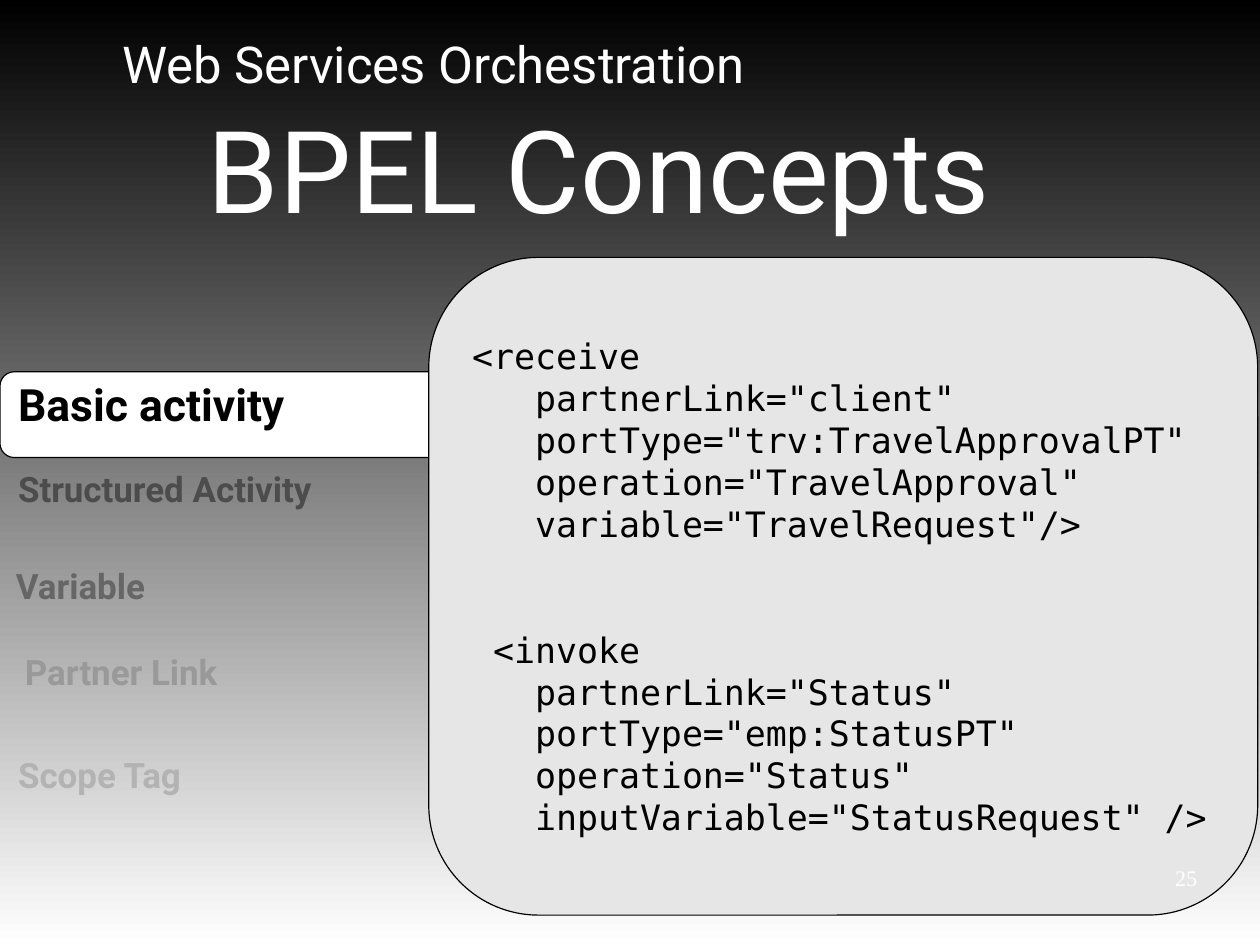
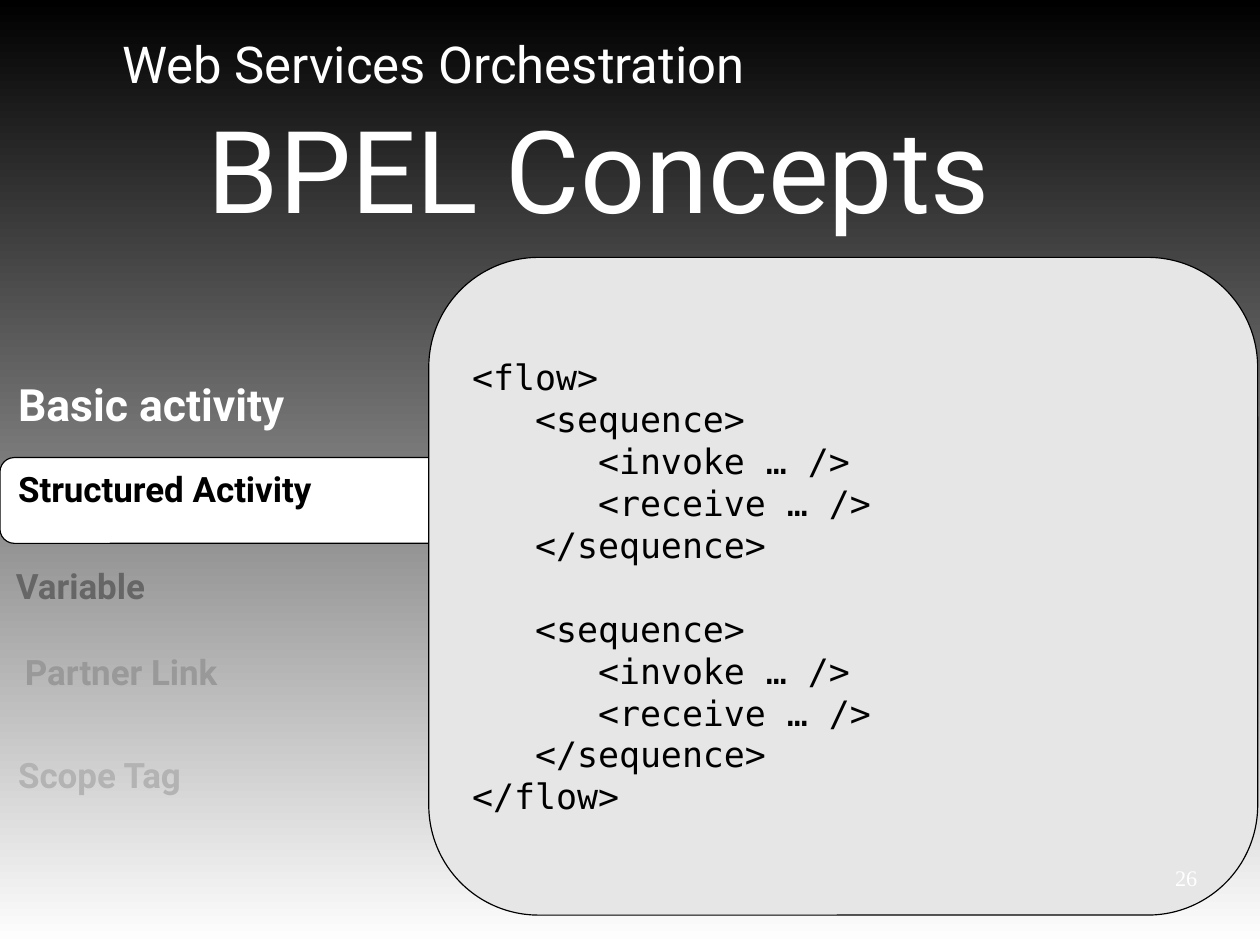
"""Build two slides on BPEL concepts, each with one highlighted topic and its code."""
from dataclasses import dataclass
from typing import Any

from pptx import Presentation
from pptx.dml.color import RGBColor
from pptx.enum.shapes import MSO_SHAPE
from pptx.enum.text import MSO_ANCHOR, PP_ALIGN
from pptx.util import Inches, Pt

ROUNDED = MSO_SHAPE.ROUNDED_RECTANGLE
TOP, MIDDLE = MSO_ANCHOR.TOP, MSO_ANCHOR.MIDDLE
LEFT, RIGHT = PP_ALIGN.LEFT, PP_ALIGN.RIGHT

BLACK, WHITE, PANEL_GREY = "000000", "FFFFFF", "E6E6E6"
SANS, MONO, SERIF = "Roboto", "DejaVu Sans Mono", "Times New Roman"
CODE_SIZE = 22
CODE_LINE = 26.4
CORNER = 0.167
TAB_HEIGHT = 0.75


@dataclass(frozen=True)
class Box:
    """Position and size in inches."""

    left: float
    top: float
    width: float
    height: float

    def lengths(self) -> list[int]:
        """Return the four values as lengths."""
        return [Inches(value) for value in (self.left, self.top, self.width, self.height)]


@dataclass(frozen=True)
class Label:
    """A single line of text with its place and style."""

    text: str
    box: Box
    size: float
    color: str = WHITE
    bold: bool = False
    font: str = SANS
    alignment: Any = LEFT


@dataclass(frozen=True)
class ConceptSlide:
    """What differs from one slide to the next."""

    number: int
    active: str
    tab: Box
    code: str


HEADINGS = [
    Label("BPEL Concepts", Box(1.72, 0.82, 8.28, 1.71), 72),
    Label("Web Services Orchestration", Box(0.97, 0.24, 6.77, 0.82), 32),
]
TOPICS = [
    Label("Basic activity", Box(0.06, 3.25, 4.44, 0.74), 28, WHITE, True),
    Label("Structured Activity", Box(0.06, 4.04, 3.69, 0.6), 22, "4C4C4C", True),
    Label("Variable", Box(0.04, 4.89, 1.59, 0.6), 22, "666666", True),
    Label("Partner Link", Box(0.12, 5.64, 2.44, 0.6), 22, "999999", True),
    Label("Scope Tag", Box(0.06, 6.54, 2.09, 0.6), 22, "B3B3B3", True),
]
PANEL = Box(3.75, 2.25, 7.25, 5.75)
NUMBER_BOX = Box(9.57, 7.51, 1, 0.35)

BASIC_CODE = """<receive
   partnerLink="client"
   portType="trv:TravelApprovalPT"
   operation="TravelApproval"
   variable="TravelRequest"/>


 <invoke
   partnerLink="Status"
   portType="emp:StatusPT"
   operation="Status"
   inputVariable="StatusRequest" />"""

STRUCTURED_CODE = """<flow>
   <sequence>
      <invoke … />
      <receive … />
   </sequence>

   <sequence>
      <invoke … />
      <receive … />
   </sequence>
</flow>"""

SLIDES = [
    ConceptSlide(25, "Basic activity", Box(0, 3.25, 4.5, TAB_HEIGHT), BASIC_CODE),
    ConceptSlide(26, "Structured Activity", Box(0, 4, 4, TAB_HEIGHT), STRUCTURED_CODE),
]


def rgb(color: str) -> RGBColor:
    """Turn a hex string into a colour."""
    return RGBColor.from_string(color)


def set_values(target: Any, values: dict[str, Any]) -> None:
    """Set each named attribute of the target."""
    for name, value in values.items():
        setattr(target, name, value)


def set_frame(frame: Any, anchor: Any) -> None:
    """Give a text frame wrapping, an anchor and the shared margins."""
    set_values(frame, {
        "word_wrap": True, "vertical_anchor": anchor,
        "margin_left": Inches(0.1), "margin_right": Inches(0.1),
        "margin_top": Inches(0.05), "margin_bottom": Inches(0.05),
    })


def write(paragraph: Any, text: str, font: str, size: float, color: str,
          bold: bool = False, alignment: Any = LEFT) -> None:
    """Write one styled run into a paragraph."""
    paragraph.alignment = alignment
    run = paragraph.add_run()
    run.text = text
    set_values(run.font, {"name": font, "size": Pt(size), "bold": bold})
    run.font.color.rgb = rgb(color)


def add_label(slide: Any, label: Label, color: str) -> None:
    """Add a text box with one line."""
    frame = slide.shapes.add_textbox(*label.box.lengths()).text_frame
    set_frame(frame, TOP)
    write(frame.paragraphs[0], label.text, label.font, label.size, color,
          label.bold, label.alignment)


def add_rounded(slide: Any, box: Box, fill: str) -> Any:
    """Add a rounded rectangle with a hairline border."""
    shape = slide.shapes.add_shape(ROUNDED, *box.lengths())
    shape.adjustments[0] = CORNER
    shape.shadow.inherit = False
    shape.fill.solid()
    shape.fill.fore_color.rgb = rgb(fill)
    shape.line.color.rgb = rgb(BLACK)
    shape.line.width = Pt(0)
    return shape


def add_code_panel(slide: Any, code: str) -> None:
    """Add the code panel, turning empty lines into space before the next line."""
    frame = add_rounded(slide, PANEL, PANEL_GREY).text_frame
    set_frame(frame, MIDDLE)
    paragraph, gaps = frame.paragraphs[0], 0
    for index, line in enumerate(code.splitlines()):
        if not line:
            gaps += 1
            continue
        if index:
            paragraph = frame.add_paragraph()
        if gaps:
            paragraph.space_before = Pt(gaps * CODE_LINE)
        write(paragraph, line, MONO, CODE_SIZE, BLACK)
        gaps = 0


def set_background(master: Any) -> None:
    """Fill the master's background from black at the top to white."""
    fill = master.background.fill
    fill.gradient()
    fill.gradient_angle = 270
    for stop, position, color in zip(fill.gradient_stops, (0, 1), (BLACK, WHITE)):
        stop.position = position
        stop.color.rgb = rgb(color)


def add_concept_slide(presentation: Any, concept: ConceptSlide) -> None:
    """Add one slide with headings, topics, code and number."""
    slide = presentation.slides.add_slide(presentation.slide_layouts[6])
    add_rounded(slide, concept.tab, WHITE)
    for label in HEADINGS + TOPICS:
        add_label(slide, label, BLACK if label.text == concept.active else label.color)
    add_code_panel(slide, concept.code)
    number = Label(str(concept.number), NUMBER_BOX, 14, font=SERIF, alignment=RIGHT)
    add_label(slide, number, number.color)


def main() -> None:
    """Build and save the presentation."""
    presentation = Presentation()
    set_values(presentation, {"slide_width": Inches(11.02), "slide_height": Inches(8.27)})
    set_background(presentation.slide_master)
    for concept in SLIDES:
        add_concept_slide(presentation, concept)
    presentation.save("out.pptx")


if __name__ == "__main__":
    main()
